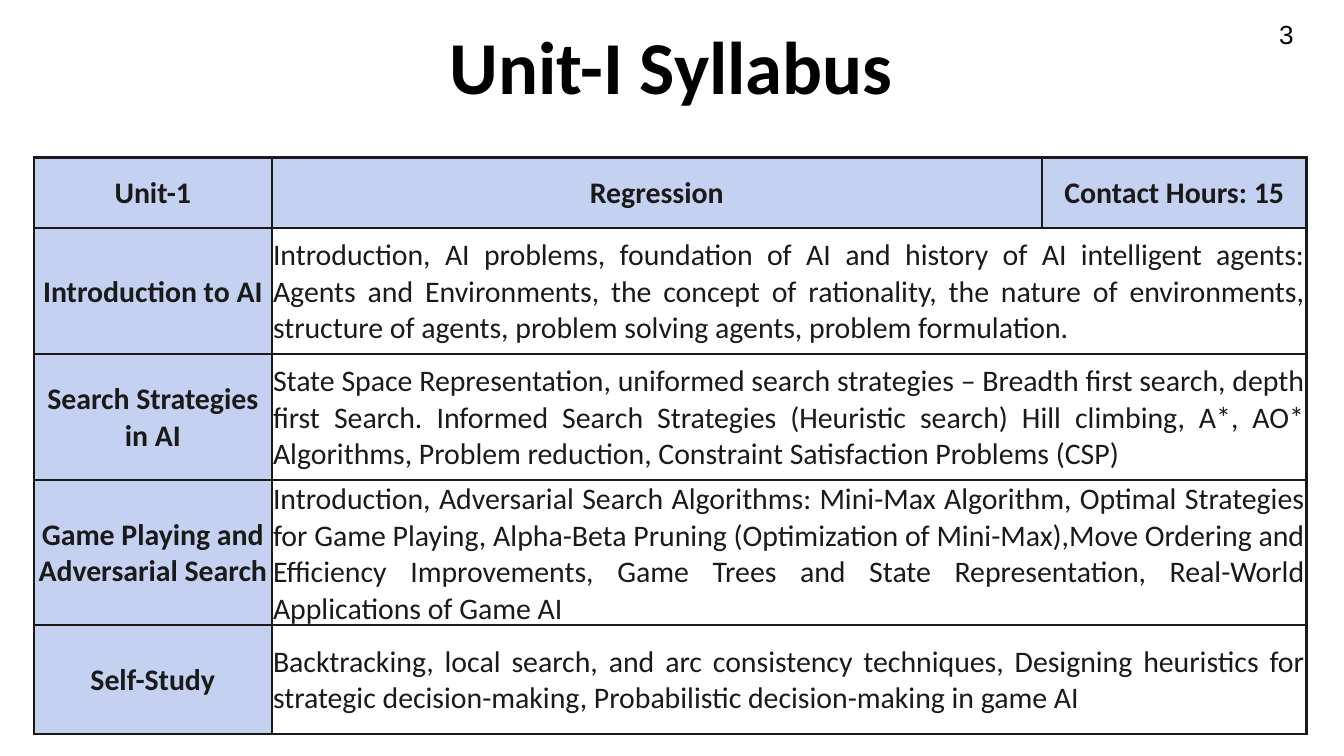
"""Build the Unit-I syllabus slide with its title, page number and table."""
from dataclasses import dataclass
from typing import Any, Optional

from pptx import Presentation
from pptx import oxml
from pptx.dml import color
from pptx.enum import text
from pptx.oxml import ns
from pptx.util import Pt


@dataclass(frozen=True)
class Theme:
    """Colours, fonts and type sizes of the slide."""
    black: str = "000000"
    ink: str = "1A1A1A"
    label: str = "C4D1F1"
    paper: str = "FFFFFF"
    font: str = "Calibri"
    number_font: str = "Arial"
    title_size: float = 40
    body_size: float = 16
    number_size: float = 14
    border: float = 1.5


@dataclass(frozen=True)
class Topic:
    """One table row: a label, its content, hours if any, and a height."""
    label: str
    content: str
    height: float
    hours: Optional[str] = None


THEME = Theme()
COLUMNS = (127.4, 412.6, 141.8)
TOPICS = (
    Topic("Unit-1", "Regression", 38, "Contact Hours: 15"),
    Topic("Introduction to AI",
          "Introduction, AI problems, foundation of AI and history of AI intelligent agents: "
          "Agents and Environments, the concept of rationality, the nature of environments, "
          "structure of agents, problem solving agents, problem formulation.", 67.5),
    Topic("Search Strategies in AI",
          "State Space Representation, uniformed search strategies – Breadth first search, "
          "depth first Search. Informed Search Strategies (Heuristic search) Hill climbing, "
          "A*, AO* Algorithms, Problem reduction, Constraint Satisfaction Problems (CSP)", 67.5),
    Topic("Game Playing and Adversarial Search",
          "Introduction, Adversarial Search Algorithms: Mini-Max Algorithm, Optimal Strategies "
          "for Game Playing, Alpha-Beta Pruning (Optimization of Mini-Max),Move Ordering and "
          "Efficiency Improvements, Game Trees and State Representation, Real-World "
          "Applications of Game AI", 77.2),
    Topic("Self-Study",
          "Backtracking, local search, and arc consistency techniques, Designing heuristics for "
          "strategic decision-making, Probabilistic decision-making in game AI", 58.5),
)


def apply(target: Any, values: dict[str, Any]) -> None:
    """Set each named attribute on the target."""
    for name, value in values.items():
        setattr(target, name, value)


def write(tf: Any, words: str, align: Any, ink: str, **font: Any) -> None:
    """Write one formatted paragraph into a text frame."""
    p = tf.paragraphs[0]
    p.alignment = align
    r = p.add_run()
    r.text = words
    apply(r.font, font)
    r.font.color.rgb = color.RGBColor.from_string(ink)


def add_borders(cell: Any) -> None:
    """Give a cell a solid line on all four sides."""
    props = cell._tc.get_or_add_tcPr()
    for side in "LRTB":
        props.append(oxml.parse_xml(
            f'<a:ln{side} {ns.nsdecls("a")} w="{Pt(THEME.border)}"><a:solidFill>'
            f'<a:srgbClr val="{THEME.ink}"/></a:solidFill></a:ln{side}>'))


def style_cell(cell: Any, fill: str) -> None:
    """Set the borders, fill, margins and anchor of a cell."""
    add_borders(cell)
    cell.fill.solid()
    cell.fill.fore_color.rgb = color.RGBColor.from_string(fill)
    apply(cell, {"margin_left": Pt(0.7), "margin_right": Pt(0.7), "margin_top": Pt(0.7),
                 "margin_bottom": Pt(0), "vertical_anchor": text.MSO_ANCHOR.MIDDLE})


def add_title(s: Any, words: str) -> None:
    """Move, format and fill the title placeholder."""
    sp = s.shapes.title
    apply(sp, {"left": Pt(3), "top": Pt(5), "width": Pt(713), "height": Pt(63.5)})
    tf = sp.text_frame
    apply(tf, {"word_wrap": True, "auto_size": text.MSO_AUTO_SIZE.NONE,
               "vertical_anchor": text.MSO_ANCHOR.TOP, "margin_top": Pt(5.5)})
    write(tf, words, text.PP_ALIGN.CENTER, THEME.black,
          name=THEME.font, size=Pt(THEME.title_size), bold=True)


def add_page_number(s: Any, number: str) -> None:
    """Add the page number at the top right."""
    tf = s.shapes.add_textbox(Pt(678.2), Pt(6.5), Pt(22.3), Pt(24.2)).text_frame
    apply(tf, {"word_wrap": False, "auto_size": text.MSO_AUTO_SIZE.SHAPE_TO_FIT_TEXT})
    write(tf, number, text.PP_ALIGN.LEFT, THEME.black,
          name=THEME.number_font, size=Pt(THEME.number_size))


def add_syllabus(s: Any, topics: tuple[Topic, ...]) -> None:
    """Add the syllabus table, joining the last two cells of rows without hours."""
    height = sum(topic.height for topic in topics)
    table = s.shapes.add_table(len(topics), len(COLUMNS), Pt(18.2), Pt(84.3),
                               Pt(sum(COLUMNS)), Pt(height)).table
    for column, width in zip(table.columns, COLUMNS):
        column.width = Pt(width)
    for i, topic in enumerate(topics):
        table.rows[i].height = Pt(topic.height)
        heading = topic.hours is not None
        if not heading:
            table.cell(i, 1).merge(table.cell(i, 2))
        for j, words in enumerate((topic.label, topic.content, topic.hours)):
            cell = table.cell(i, j)
            strong = heading or j == 0
            style_cell(cell, THEME.label if strong else THEME.paper)
            if words:
                align = text.PP_ALIGN.CENTER if strong else text.PP_ALIGN.JUSTIFY
                write(cell.text_frame, words, align, THEME.ink,
                      name=THEME.font, size=Pt(THEME.body_size), bold=strong)


def main() -> None:
    """Build and save the presentation."""
    prs = Presentation()
    apply(prs, {"slide_width": Pt(720), "slide_height": Pt(405)})
    s = prs.slides.add_slide(prs.slide_layouts[5])
    add_page_number(s, "3")
    add_title(s, "Unit-I Syllabus")
    add_syllabus(s, TOPICS)
    prs.save("out.pptx")


if __name__ == "__main__":
    main()
